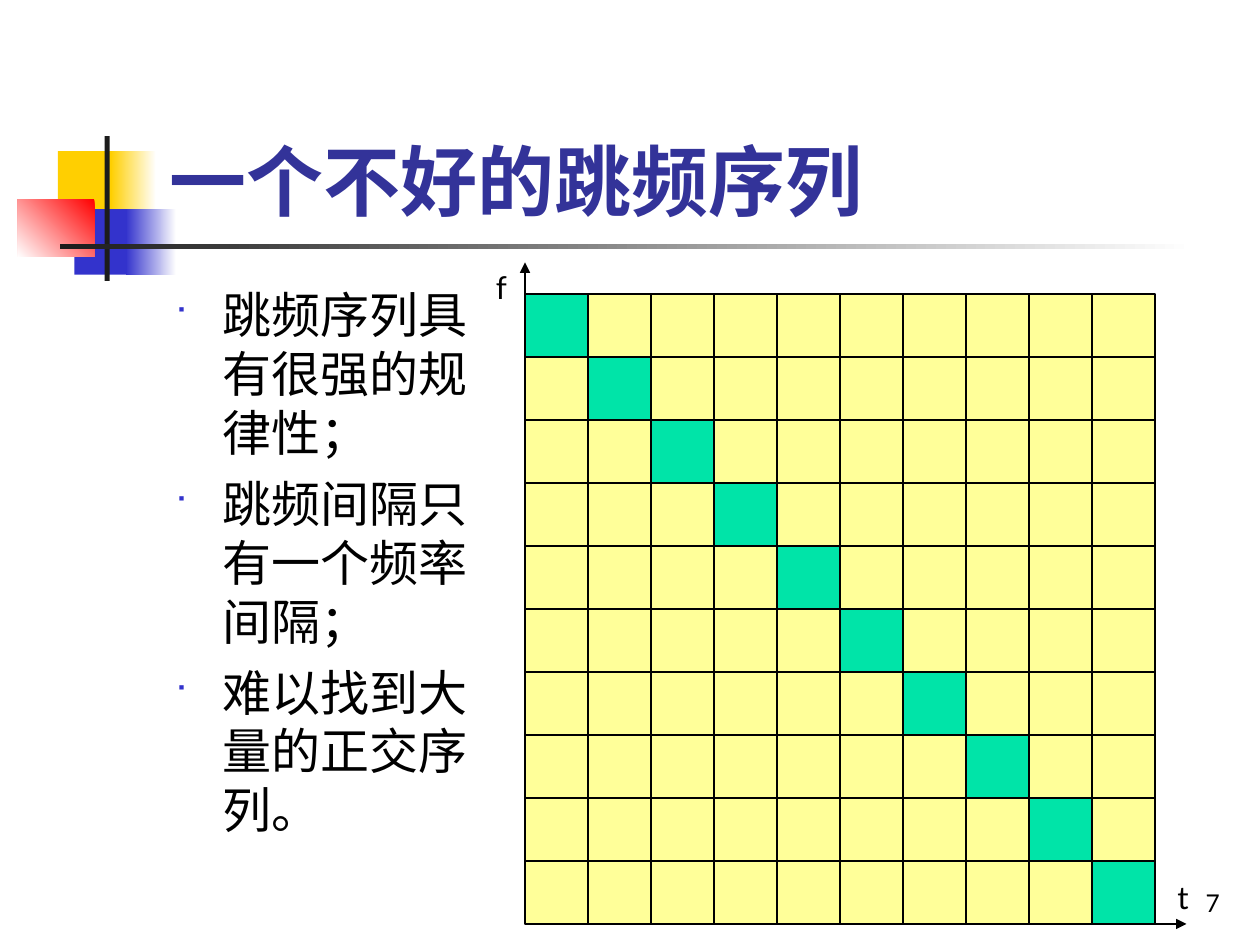
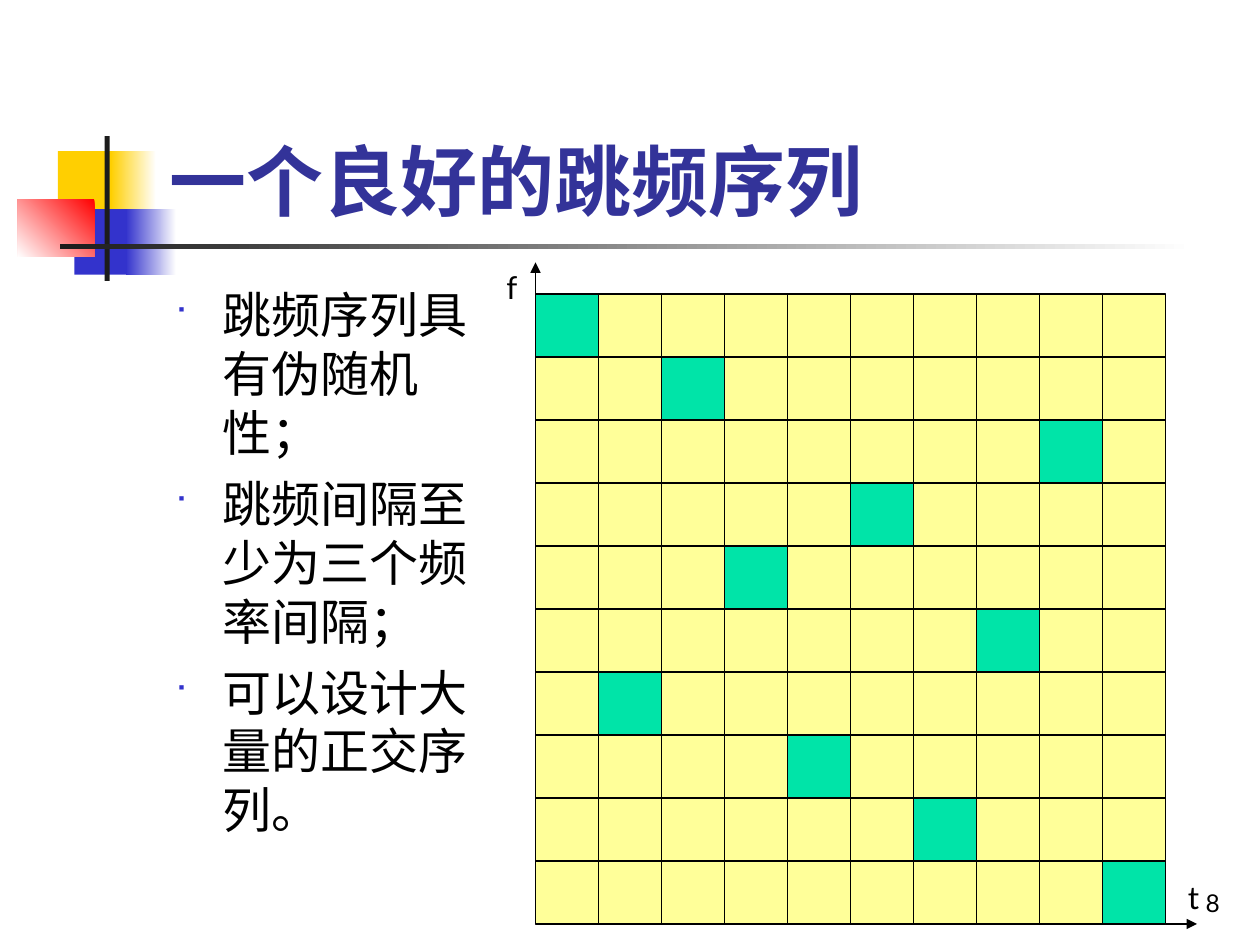
import pptx
import pptx.util
import pptx.dml.color
import pptx.enum.lang
import pptx.enum.shapes
import pptx.enum.text
import pptx.oxml
import pptx.oxml.ns
from lxml import etree

Inches, Pt = pptx.util.Inches, pptx.util.Pt
RGB = pptx.dml.color.RGBColor.from_string
qn = pptx.oxml.ns.qn
ANCHOR, ALIGN = pptx.enum.text.MSO_ANCHOR, pptx.enum.text.PP_ALIGN

FONT, BULLET_FONT = "Lato", "Wingdings"
COLORS = {
    "title": "333399", "text": "000000", "white": "FFFFFF",
    "yellow": "FFCF01", "blue": "3333CC", "red": "FF0000", "dark": "1C1C1C",
    "grid": "FFFF99", "hop": "00E4A8", "line": "000000",
}

# Title ornament: place, colours (two make a gradient), clockwise angle
ORNAMENT = [
    ((0.46, 1.2, 0.48, 0.52), ("yellow",), 0),
    ((0.88, 1.2, 0.36, 0.52), ("white", "yellow"), 180),
    ((0.59, 1.66, 0.46, 0.52), ("blue",), 0),
    ((1, 1.66, 0.4, 0.52), ("white", "blue"), 180),
    ((0.14, 1.58, 0.61, 0.46), ("red", "white"), 135),
    ((0.83, 1.08, 0.04, 1.15), ("dark",), 0),
    ((0.48, 1.94, 9, 0.04), ("white", "dark"), 180),
]

# Hopping grid: equal steps, one hop in each column
CELLS, STEP, GRID_TOP, AXIS_TIP = 10, 0.5, 7 / 3, 0.25
SIZE = CELLS * STEP

SLIDES = [
    {"title": "一个不好的跳频序列", "number": "7", "grid_left": 25 / 6, "points_width": 2.62,
     "points": ["跳频序列具有很强的规律性；", "跳频间隔只有一个频率间隔；", "难以找到大量的正交序列。"],
     "hop_rows": range(CELLS)},
    {"title": "一个良好的跳频序列", "number": "8", "grid_left": 4.25, "points_width": 2.79,
     "points": ["跳频序列具有伪随机性；", "跳频间隔至少为三个频率间隔；", "可以设计大量的正交序列。"],
     "hop_rows": [0, 6, 1, 4, 7, 3, 8, 5, 2, 9]},
]


def write(slide, place, *texts, size=18, color="text", bold=False, bullet=False,
          align=ALIGN.LEFT, anchor=ANCHOR.TOP):
    frame = slide.shapes.add_textbox(*map(Inches, place)).text_frame
    frame.word_wrap = True
    frame.vertical_anchor = anchor
    for index, text in enumerate(texts):
        paragraph = frame.paragraphs[0] if index == 0 else frame.add_paragraph()
        paragraph.alignment = align
        if bullet:
            paragraph.space_before = Pt(7 if index else 0)
            props = paragraph._p.get_or_add_pPr()
            props.set("marL", str(Inches(0.38)))
            props.set("indent", str(-Inches(0.38)))
            props.set("hangingPunct", "0")
            tint = etree.SubElement(props, qn("a:buClr"))
            etree.SubElement(tint, qn("a:srgbClr"), val=COLORS["blue"])
            etree.SubElement(props, qn("a:buSzPct"), val="60000")
            etree.SubElement(props, qn("a:buFont"), typeface=BULLET_FONT, charset="2")
            etree.SubElement(props, qn("a:buChar"), char="■")
        run = paragraph.add_run()
        run.text = text
        run.font.size, run.font.bold, run.font.name = Pt(size), bold, FONT
        run.font.color.rgb = RGB(COLORS[color])
        run.font.language_id = pptx.enum.lang.MSO_LANGUAGE_ID.SIMPLIFIED_CHINESE
        etree.SubElement(run._r.get_or_add_rPr(), qn("a:ea"), typeface=FONT)


def draw_rect(slide, place, colors, angle=0, outlined=False):
    rect = slide.shapes.add_shape(pptx.enum.shapes.MSO_SHAPE.RECTANGLE, *map(Inches, place))
    rect.shadow.inherit = False
    if len(colors) == 1:
        rect.fill.solid()
        rect.fill.fore_color.rgb = RGB(COLORS[colors[0]])
    else:
        rect.fill.gradient()
        rect.fill.gradient_angle = (360 - angle) % 360
        for stop, color in zip(rect.fill.gradient_stops, colors):
            stop.color.rgb = RGB(COLORS[color])
    if outlined:
        rect.line.color.rgb = RGB(COLORS["line"])
        rect.line.width = Pt(0.75)
    else:
        rect.line.fill.background()
    return rect


deck = pptx.Presentation()
deck.slide_width, deck.slide_height = Inches(10), Inches(7.5)

for content in SLIDES:
    slide = deck.slides.add_slide(deck.slide_layouts[6])
    left, top = content["grid_left"], GRID_TOP
    right, bottom = left + SIZE, top + SIZE

    # Ornament and title
    for place, colors, angle in ORNAMENT:
        draw_rect(slide, place, colors, angle)
    write(slide, (1.25, 0.24, 8.52, 1.6), content["title"], size=44, color="title",
          bold=True, anchor=ANCHOR.BOTTOM)

    # Grid lines, then the time and frequency axes
    grid = draw_rect(slide, (left, top, SIZE, SIZE), ("grid",), outlined=True)
    offsets = [STEP * n for n in range(1, CELLS)]
    rules = [(left, top + d, right, top + d) for d in offsets]
    rules += [(left + d, top, left + d, bottom) for d in offsets]
    axes = [(right, bottom, right + AXIS_TIP, bottom), (left, top, left, top - AXIS_TIP)]
    for ends in rules + axes:
        rule = slide.shapes.add_connector(pptx.enum.shapes.MSO_CONNECTOR.STRAIGHT,
                                          *map(Inches, ends))
        rule.line.color.rgb = RGB(COLORS["line"])
        rule.line.width = Pt(0.75)
        if ends in axes:
            etree.SubElement(rule.line._get_or_add_ln(), qn("a:tailEnd"), type="triangle")
        elif ends[1] == top + SIZE / 2:
            rule.begin_connect(grid, 1)
            rule.end_connect(grid, 3)
        elif ends[0] == left + SIZE / 2:
            rule.begin_connect(grid, 0)
            rule.end_connect(grid, 2)
        etree.SubElement(rule._element.spPr, qn("a:effectLst"))

    # Hops
    for column, row in enumerate(content["hop_rows"]):
        draw_rect(slide, (left + column * STEP, top + row * STEP, STEP, STEP),
                  ("hop",), outlined=True)

    # Points, axis labels and slide number
    write(slide, (1.29, 2.21, content["points_width"], 5.04), *content["points"],
          size=28, bullet=True)
    write(slide, (right + 0.08, 6.92, 0.5, 0.4), "t")
    write(slide, (left - 0.33, 2.08, 0.5, 0.4), "f")
    write(slide, (7.7, 6.83, 2.08, 0.5), content["number"], size=14,
          align=ALIGN.RIGHT, anchor=ANCHOR.BOTTOM)

deck.save("out.pptx")
